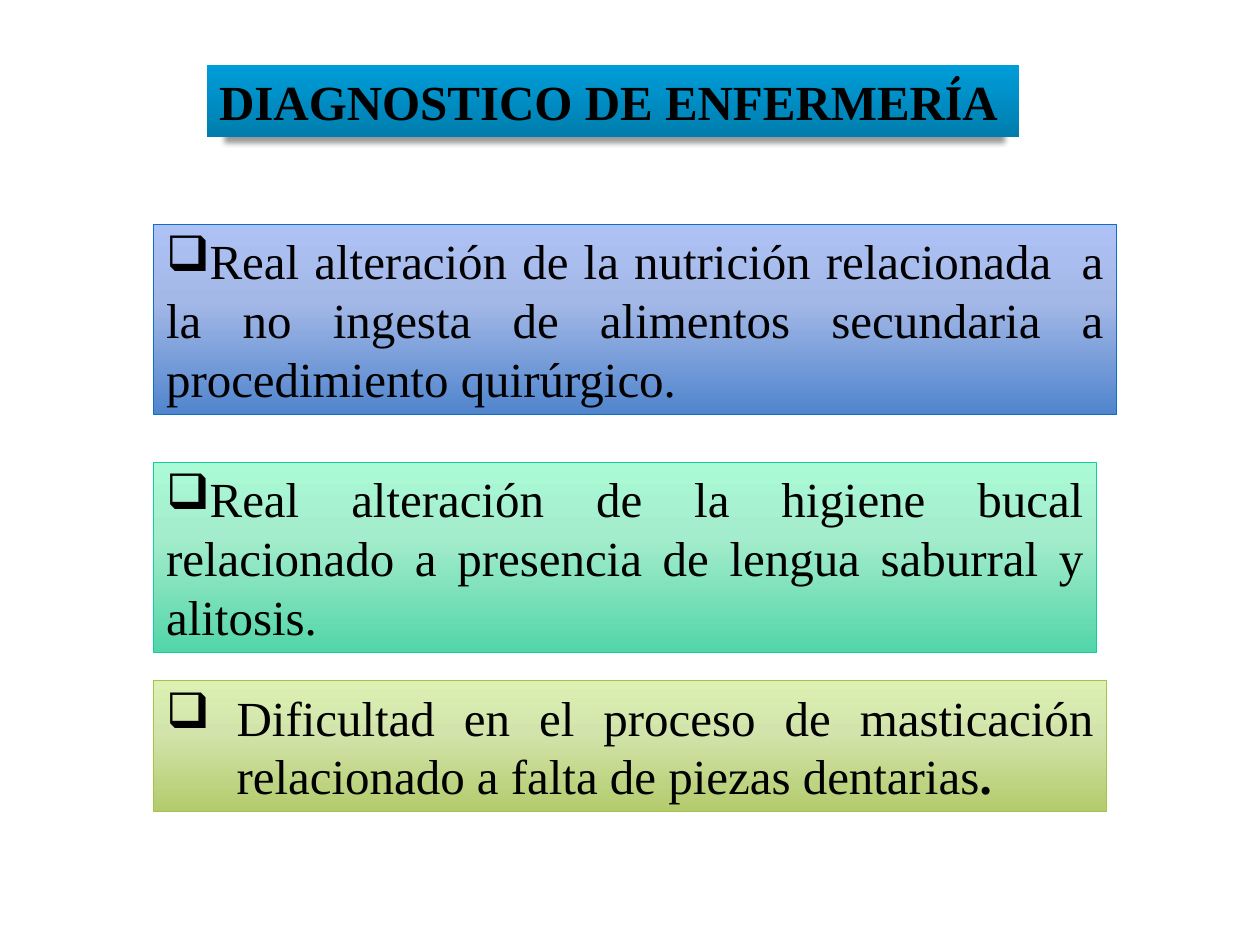
from copy import deepcopy

from lxml import etree
from pptx import Presentation
from pptx import util as u
from pptx.dml.color import RGBColor
from pptx.enum import shapes, text
from pptx.oxml.ns import qn

BLACK = RGBColor(0x00, 0x00, 0x00)
TITLE_BLUES = [(0, RGBColor(0x00, 0x9D, 0xD9)), (1, RGBColor(0x00, 0x7D, 0xAD))]
BLUES = [(0, RGBColor(0xAD, 0xC1, 0xF5)), (0.4, RGBColor(0xA4, 0xB8, 0xE7)),
         (1, RGBColor(0x50, 0x85, 0xCD))]
MINTS = [(0, RGBColor(0xAB, 0xFA, 0xD6)), (0.4, RGBColor(0xA3, 0xEC, 0xCC)),
         (1, RGBColor(0x52, 0xD5, 0xA9))]
GREENS = [(0, RGBColor(0xDD, 0xF1, 0xB4)), (0.4, RGBColor(0xD2, 0xE4, 0xAB)),
          (1, RGBColor(0xB3, 0xCB, 0x6C))]
BLUE_LINE = RGBColor(0x0F, 0x6F, 0xC6)
MINT_LINE = RGBColor(0x10, 0xCF, 0x9B)
GREEN_LINE = RGBColor(0xA5, 0xC2, 0x49)


class SlideBuilder:
    font_name = "Times New Roman"
    accent_font = "Cambria"
    font_size = u.Pt(28)
    line_width = u.Pt(0.75)
    diagnosis_left = 1.22

    def __init__(self, slide):
        self.slide = slide

    def panel(self, left, top, width, height, stops):
        """Add a rectangle with a gradient running from top to bottom."""
        shape = self.slide.shapes.add_shape(
            shapes.MSO_SHAPE.RECTANGLE, u.Inches(left), u.Inches(top),
            u.Inches(width), u.Inches(height))
        shape.shadow.inherit = False
        shape.fill.gradient()
        shape.fill.gradient_angle = 270
        stop_list = shape.fill._fill._gradFill.find(qn("a:gsLst"))
        while len(stop_list) < len(stops):
            stop_list.append(deepcopy(stop_list[-1]))
        for stop, (position, color) in zip(shape.fill.gradient_stops, stops):
            stop.position = position
            stop.color.rgb = color
        frame = shape.text_frame
        frame.word_wrap = True
        frame.auto_size = text.MSO_AUTO_SIZE.SHAPE_TO_FIT_TEXT
        frame.vertical_anchor = text.MSO_ANCHOR.TOP
        return shape

    def style(self, paragraph):
        paragraph.alignment = text.PP_ALIGN.JUSTIFY
        paragraph.font.name = self.font_name
        paragraph.font.size = self.font_size
        paragraph.font.color.rgb = BLACK

    def title(self, runs):
        shape = self.panel(1.64, 0.52, 6.45, 0.57, TITLE_BLUES)
        shape.line.fill.background()
        self.drop_shadow(shape)
        shape.text_frame.word_wrap = False
        paragraph = shape.text_frame.paragraphs[0]
        self.style(paragraph)
        paragraph.font.bold = True
        for words, font_name in runs:
            run = paragraph.add_run()
            run.text = words
            run.font.name = font_name

    def drop_shadow(self, shape):
        """Put a soft shadow, narrower than the shape, below it."""
        effects = shape._element.spPr.find(qn("a:effectLst"))
        shadow = etree.SubElement(
            effects, qn("a:outerShdw"), blurRad=str(u.Pt(3)), dist=str(u.Pt(3)),
            dir="4800000", sx="96000", sy="100000", algn="b", rotWithShape="0")
        color = etree.SubElement(shadow, qn("a:srgbClr"), val=str(BLACK))
        etree.SubElement(color, qn("a:alpha"), val="40000")

    def diagnosis(self, top, width, height, stops, line_color, words, hanging=0):
        shape = self.panel(self.diagnosis_left, top, width, height, stops)
        shape.line.color.rgb = line_color
        shape.line.width = self.line_width
        paragraph = shape.text_frame.paragraphs[0]
        self.bullet(paragraph, hanging)
        self.style(paragraph)
        paragraph.add_run().text = words
        return shape

    def bullet(self, paragraph, hanging):
        properties = paragraph._p.get_or_add_pPr()
        properties.set("marL", str(u.Inches(hanging)))
        properties.set("indent", str(-u.Inches(hanging)))
        etree.SubElement(properties, qn("a:buChar"), char="❑")


def main():
    presentation = Presentation()
    presentation.slide_width = u.Inches(10)
    presentation.slide_height = u.Inches(7.5)
    builder = SlideBuilder(presentation.slides.add_slide(presentation.slide_layouts[6]))

    builder.title([("DIAGNOSTICO DE ENFERMER", builder.font_name),
                   ("Í", builder.accent_font), ("A", builder.font_name)])
    builder.diagnosis(
        1.78, 7.64, 1.51, BLUES, BLUE_LINE,
        "Real alteración de la nutrición relacionada  a la no ingesta de alimentos "
        "secundaria a procedimiento quirúrgico.")
    builder.diagnosis(
        3.67, 7.48, 1.51, MINTS, MINT_LINE,
        "Real alteración de la higiene bucal relacionado a presencia de lengua "
        "saburral y alitosis.")
    chewing = builder.diagnosis(
        5.4, 7.56, 1.04, GREENS, GREEN_LINE,
        "Dificultad en el proceso de masticación relacionado a falta de piezas dentarias",
        hanging=0.56)
    chewing.text_frame.vertical_anchor = text.MSO_ANCHOR.MIDDLE
    full_stop = chewing.text_frame.paragraphs[0].add_run()
    full_stop.text = "."
    full_stop.font.bold = True

    presentation.save("out.pptx")


if __name__ == "__main__":
    main()
